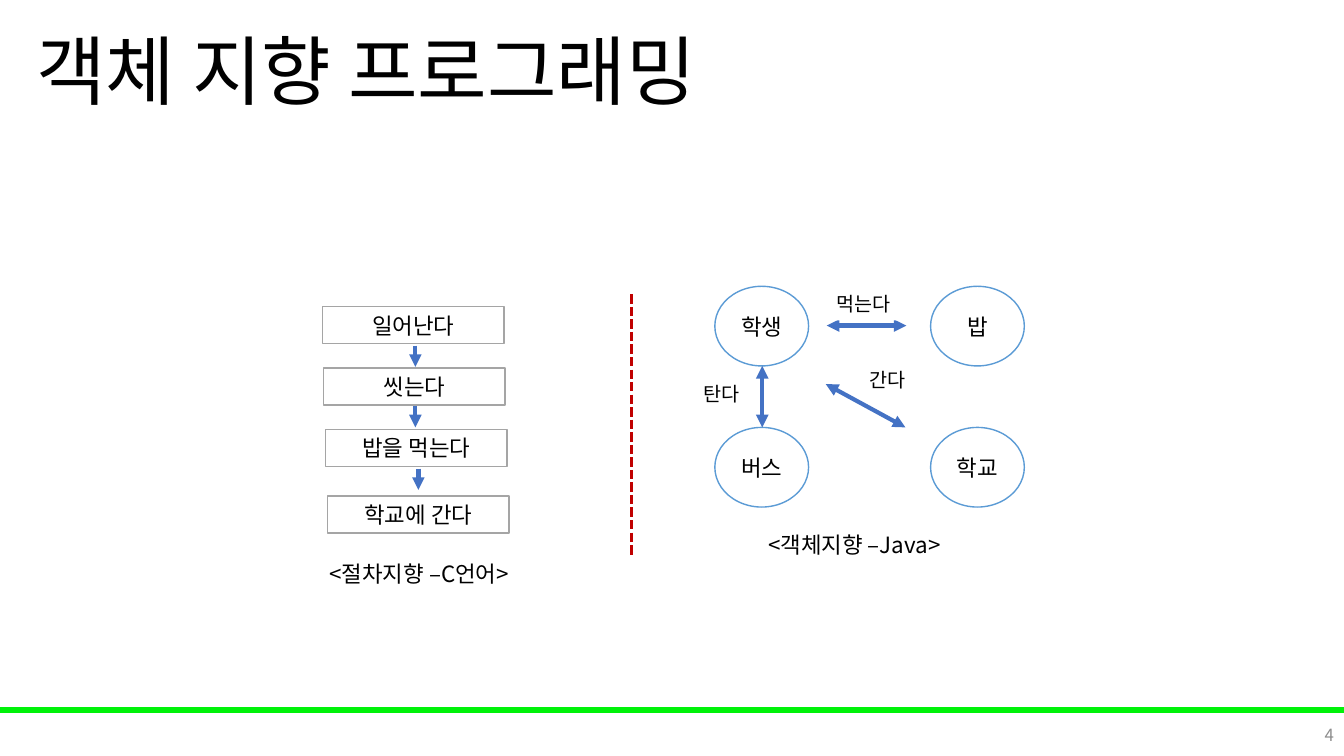
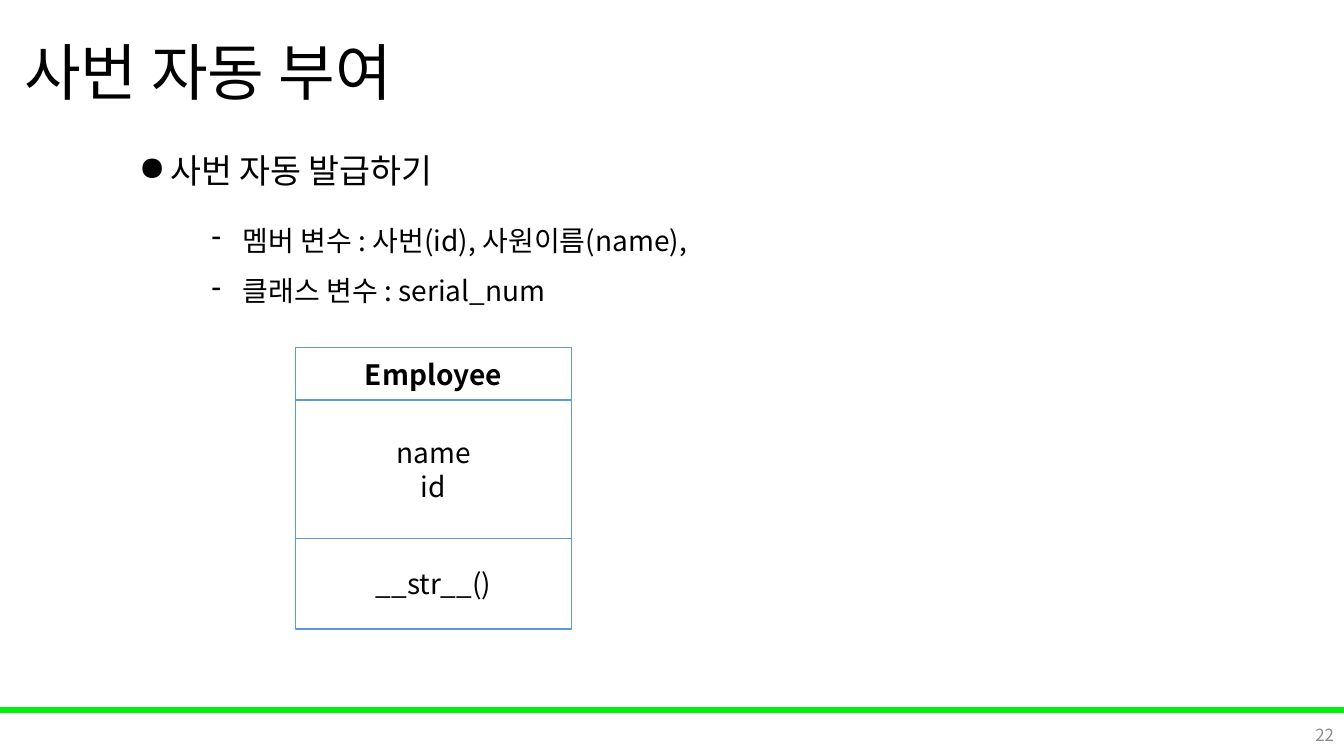
from lxml import etree
from pptx import Presentation
from pptx.dml.color import RGBColor
from pptx.enum import dml, shapes, text
from pptx.oxml.ns import qn
from pptx.util import Inches, Pt

FONT = "Noto Sans CJK KR"
BLACK = RGBColor(0x00, 0x00, 0x00)
WHITE = RGBColor(0xFF, 0xFF, 0xFF)
GREEN = RGBColor(0x00, 0xF2, 0x09)
GRAY = RGBColor(0xA5, 0xA5, 0xA5)
NUMBER_GRAY = RGBColor(0x8C, 0x8C, 0x8C)
SKY = RGBColor(0x5B, 0x9B, 0xD5)
ARROW_BLUE = RGBColor(0x44, 0x72, 0xC4)
RED = RGBColor(0xC0, 0x00, 0x00)
LEFT, CENTER, RIGHT = text.PP_ALIGN.LEFT, text.PP_ALIGN.CENTER, text.PP_ALIGN.RIGHT
RECT, OVAL = shapes.MSO_SHAPE.RECTANGLE, shapes.MSO_SHAPE.OVAL


def put(slide, box, lines=(), size=16, align=CENTER, color=BLACK, bold=False,
        preset=None, fill=WHITE, outline=None, bullet=None, spacing=None):
    """Add a preset shape, or a text box if there is none, holding one paragraph per line."""
    box = [Inches(length) for length in box]
    if preset is None:
        shape = slide.shapes.add_textbox(*box)
    else:
        shape = slide.shapes.add_shape(preset, *box)
        shape.shadow.inherit = False
        shape.fill.solid()
        shape.fill.fore_color.rgb = fill
        if outline is None:
            shape.line.fill.background()
        else:
            shape.line.color.rgb = outline
            shape.line.width = Pt(1)
    frame = shape.text_frame
    frame.word_wrap = True
    frame.vertical_anchor = text.MSO_ANCHOR.MIDDLE
    if not lines:
        return
    frame.text = "\n".join(lines)
    for paragraph in frame.paragraphs:
        paragraph.alignment = align
        paragraph.line_spacing = spacing
        font = paragraph.font
        font.name, font.size, font.bold = FONT, Pt(size), bold
        font.color.rgb = color
        properties = paragraph._p.get_or_add_pPr()
        defaults = properties.find(qn("a:defRPr"))
        etree.SubElement(defaults, qn("a:ea"), typeface=FONT)
        if bullet:
            properties.set("marL", str(Inches(0.31)))
            properties.set("indent", str(-Inches(0.31)))
            mark = etree.Element(qn("a:buChar"), char=bullet)
            defaults.addprevious(mark)


def connect(slide, start, end, color, width, heads=()):
    points = [Inches(length) for length in (*start, *end)]
    connector = slide.shapes.add_connector(shapes.MSO_CONNECTOR.STRAIGHT, *points)
    connector.line.color.rgb = color
    connector.line.width = Pt(width)
    for head in heads:
        etree.SubElement(connector.line._get_or_add_ln(), qn(head), type="triangle")
    etree.SubElement(connector._element.spPr, qn("a:effectLst"))
    return connector


prs = Presentation()
prs.slide_width, prs.slide_height = Inches(13.33), Inches(7.5)

# Title, green rule and page number of every slide
pages = []
for title, title_size, title_left, number in (
    ("객체 지향 프로그래밍", 54, 0.26, "4"),
    ("사번 자동 부여", 44, 0.14, "22"),
):
    page = prs.slides.add_slide(prs.slide_layouts[6])
    put(page, (0, 7.02, 13.33, 0.05), preset=RECT, fill=GREEN, outline=GREEN)
    put(page, (title_left, 0.02, 11.5, 1.45), [title], title_size, LEFT, spacing=0.9)
    put(page, (10.33, 7.09, 3, 0.4), [number], 12, RIGHT, NUMBER_GRAY)
    pages.append(page)
paradigms, employee_ids = pages

# Procedural steps
for step, left, top in (
    ("일어난다", 3.2, 3.04),
    ("씻는다", 3.21, 3.65),
    ("밥을 먹는다", 3.23, 4.26),
    ("학교에 간다", 3.25, 4.92),
):
    put(paradigms, (left, top, 1.8, 0.37), [step], preset=RECT, outline=GRAY)
for x, top in ((4.12, 3.43), (4.12, 4.03), (4.15, 4.65)):
    connect(paradigms, (x, top), (x, top + 0.21), ARROW_BLUE, 3, ["a:tailEnd"])

# Objects and their relations
objects = (("학생", "밥"), ("버스", "학교"))
for row, names in enumerate(objects):
    for column, name in enumerate(names):
        put(paradigms, (7.09 + 2.14 * column, 2.84 + 1.4 * row, 0.93, 0.79), [name],
            preset=OVAL, outline=SKY)
for start, end in (
    ((8.2, 3.23), (8.99, 3.23)),
    ((7.56, 3.63), (7.56, 4.24)),
    ((8.19, 3.81), (8.98, 4.24)),
):
    connect(paradigms, start, end, ARROW_BLUE, 3, ["a:headEnd", "a:tailEnd"])
for verb, left, top, width in (
    ("탄다", 6.85, 3.74, 0.62),
    ("먹는다", 8.17, 2.84, 0.79),
    ("간다", 8.51, 3.6, 0.59),
):
    put(paradigms, (left, top, width, 0.34), [verb], 14, preset=RECT)

divider = connect(paradigms, (6.26, 2.92), (6.26, 5.51), RED, 2.25)
divider.line.dash_style = dml.MSO_LINE.SQUARE_DOT
for caption, left, top in (("<절차지향 –C언어>", 3.17, 5.51), ("<객체지향 –Java>", 7.52, 5.22)):
    put(paradigms, (left, top, 2.28, 0.37), [caption], align=LEFT)

# Automatic employee numbers
put(employee_ids, (1.28, 1.35, 4.16, 0.48), ["사번 자동 발급하기"], 24, LEFT,
    bullet="●", spacing=1.5)
variables = ["멤버 변수 : 사번(id), 사원이름(name),", "클래스 변수 : serial_num"]
put(employee_ids, (2, 2.02, 5.43, 1.06), variables, 20, LEFT, bullet="-", spacing=1.5)

# Class diagram
section_top = 3.45
for members, height, is_name in (
    (["Employee"], 0.52, True),
    (["name", "id"], 1.37, False),
    (["__str__()"], 0.9, False),
):
    put(employee_ids, (2.93, section_top, 2.74, height), members, 20, bold=is_name,
        preset=RECT, outline=SKY)
    section_top += height

prs.save("out.pptx")
